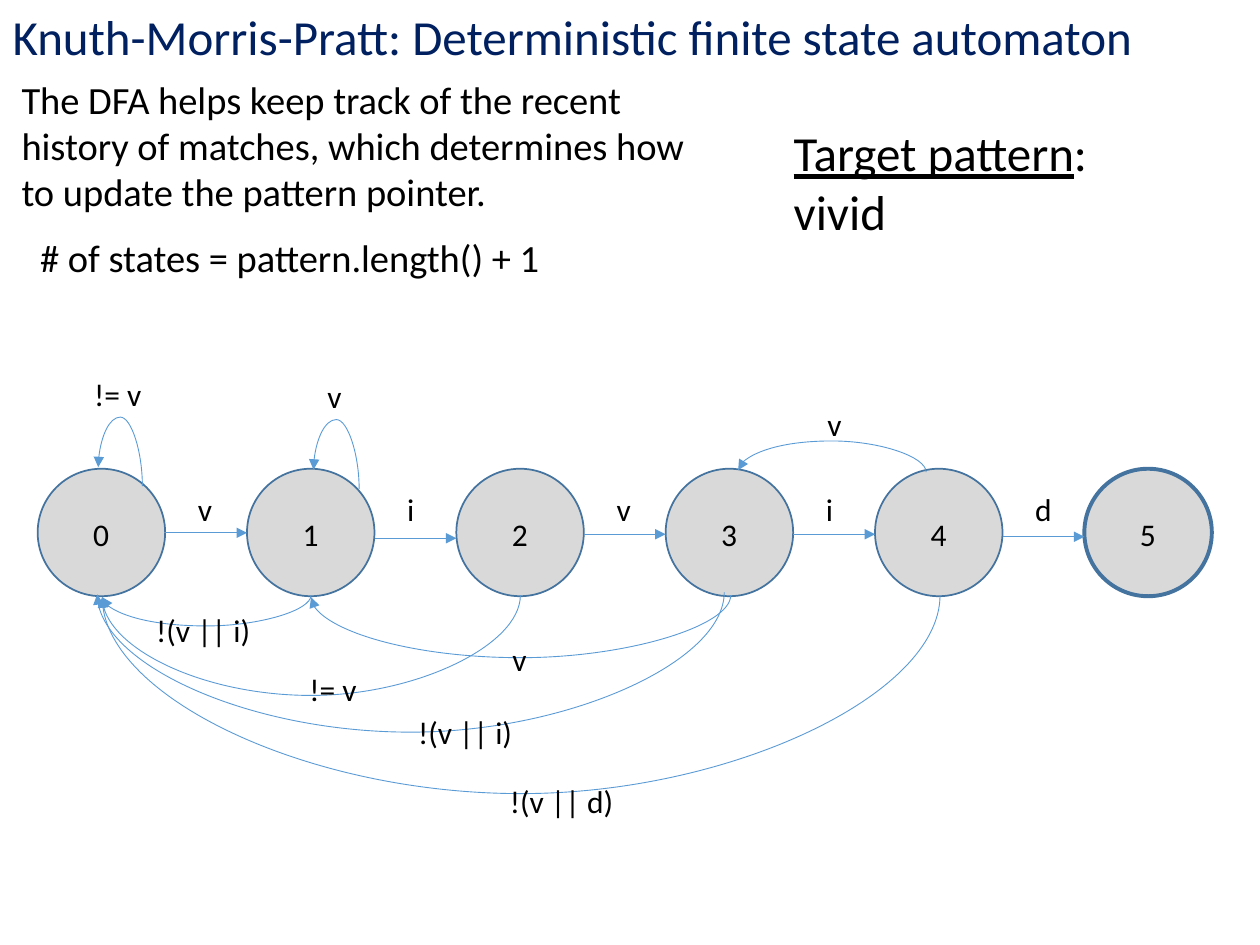
from dataclasses import dataclass
from lxml.etree import SubElement as Sub
from pptx import Presentation
from pptx.dml.color import RGBColor as RGB
from pptx.enum.shapes import MSO_CONNECTOR as Link, MSO_SHAPE as Form
from pptx.enum.text import MSO_ANCHOR as Anchor, MSO_AUTO_SIZE as Fit, PP_ALIGN as Align
from pptx.oxml.ns import qn
from pptx.util import Cm, Pt

TITLE = "Knuth-Morris-Pratt: Deterministic finite state automaton"
BODY = ("The DFA helps keep track of the recent history of matches, "
        "which determines how to update the pattern pointer.")
COUNT = "# of states = pattern.length() + 1"
TARGET = [("Target pattern", True), (": vivid", False)]
STATES = "012345"
STEPS = [("v", 10.74), ("i", 10.85), ("v", 10.77), ("i", 10.77), ("d", 10.82)]
# start, end, peak, label, label box
CURVES = [
    ((2.87, 9.8), (1.98, 9.42), 8.41, "!= v", (1.65, 7.44, 2.49)),
    ((7.24, 9.86), (6.32, 9.47), 8.46, "v", (6.35, 7.47, 1.65)),
    ((18.67, 9.52), (14.88, 9.48), 8.89, "v", (16.43, 8.05, 1.65)),
    ((6.27, 12), (2.06, 12.04), 12.62, "!(v || i)", (2.9, 12.19, 2.54)),
    ((10.49, 12), (2.06, 12.04), 14.02, "!= v", (5.99, 13.39, 2.49)),
    ((14.6, 11.94), (1.96, 11.98), 14.76, "!(v || i)", (8.18, 14.25, 2.54)),
    ((14.73, 12), (6.27, 12.04), 13.26, "v", (10.08, 12.78, 0.84)),
    ((18.95, 12), (2.06, 12.04), 16, "!(v || d)", (10.03, 15.65, 3.07)),
]
LEFT, TOP, SIZE, PITCH = 0.76, 9.45, 2.57, 4.22


@dataclass
class Theme:
    font: str = "Calibri"
    navy: str = "002060"
    ink: str = "000000"
    disc: str = "D9D9D9"
    rim: str = "43739E"
    edge: str = "5B9BD5"
    head: int = 28
    body: int = 22
    label: int = 18


look = Theme()


def apply(item, vals):
    for key, val in vals.items():
        setattr(item, key, val)


def place(shape, x, y, w, h):
    apply(shape, dict(left=Cm(x), top=Cm(y), width=Cm(w), height=Cm(h)))


def write(shape, runs, size, hue=look.ink):
    frame = shape.text_frame
    apply(frame, dict(word_wrap=True, auto_size=Fit.SHAPE_TO_FIT_TEXT,
                      vertical_anchor=Anchor.TOP))
    para = frame.paragraphs[0]
    apply(para, dict(alignment=Align.LEFT, space_before=Pt(0)))
    for text, under in runs:
        run = para.add_run()
        run.text = text
        apply(run.font, dict(name=look.font, size=Pt(size), underline=under))
        run.font.color.rgb = RGB.from_string(hue)
    return para


def label(text, x, y, w, h=1.03, size=look.label):
    runs = [(text, False)] if isinstance(text, str) else text
    write(shapes.add_textbox(Cm(x), Cm(y), Cm(w), Cm(h)), runs, size)


def arrow(kind, start, end):
    line = shapes.add_connector(kind, *map(Cm, start + end))
    line.line.color.rgb = RGB.from_string(look.edge)
    line.line.width = Pt(0.5)
    props = line._element.spPr
    Sub(props.find(qn("a:ln")), qn("a:tailEnd"), type="triangle")
    Sub(props, qn("a:effectLst"))
    return line


def arc(start, end, peak):
    (x1, y1), (x2, y2) = start, end
    wide, tall = x1 - x2, abs(y2 - y1)
    line = arrow(Link.CURVE, start, end)
    place(line, (x1 + x2 - tall) / 2, (y1 + y2 - wide) / 2, tall, wide)
    props = line._element.spPr
    frame = props.find(qn("a:xfrm"))
    frame.attrib.clear()
    up = peak < y1
    frame.set("rot", str((270 if up else 90) * 60000))
    if up:
        frame.set("flipV", "1")
    geom = props.find(qn("a:prstGeom"))
    geom.set("prst", "curvedConnector3")
    bend = round(abs(peak - y1) / tall * 100000)
    Sub(geom.find(qn("a:avLst")), qn("a:gd"), name="adj1", fmla=f"val {bend}")


deck = Presentation()
apply(deck, dict(slide_width=Cm(25.4), slide_height=Cm(19.05)))
slide = deck.slides.add_slide(deck.slide_layouts[1])
shapes = slide.shapes

title, body = shapes.title, slide.placeholders[1]
place(title, 0, 0, 25.4, 1.45)
write(title, [(TITLE, False)], look.head, look.navy)
place(body, 0.18, 1.4, 14, 3.07)
props = write(body, [(BODY, False)], look.body)._p.get_or_add_pPr()
props.set("marL", "0")
props.set("indent", "0")
Sub(props, qn("a:buNone"))
label(TARGET, 15.75, 2.34, 7.87, 2.64, look.head)
label(COUNT, 0.56, 4.6, 14, 1.19, look.body)

for i, name in enumerate(STATES):
    x = LEFT + i * PITCH
    disc = shapes.add_shape(Form.OVAL, Cm(x), Cm(TOP), Cm(SIZE), Cm(SIZE))
    disc.shadow.inherit = False
    disc.fill.solid()
    disc.fill.fore_color.rgb = RGB.from_string(look.disc)
    disc.line.color.rgb = RGB.from_string(look.rim)
    disc.line.width = Pt(2.25 if name == STATES[-1] else 1)
    label(name, x + 0.87, 10.26, 0.84)

for i, (sign, y) in enumerate(STEPS):
    x = LEFT + SIZE + i * PITCH
    arrow(Link.STRAIGHT, (x, y), (x + PITCH - SIZE, y))
    label(sign, x + 0.41, 9.75, 0.84)

for start, end, peak, sign, spot in CURVES:
    arc(start, end, peak)
    label(sign, *spot)

deck.save("out.pptx")
